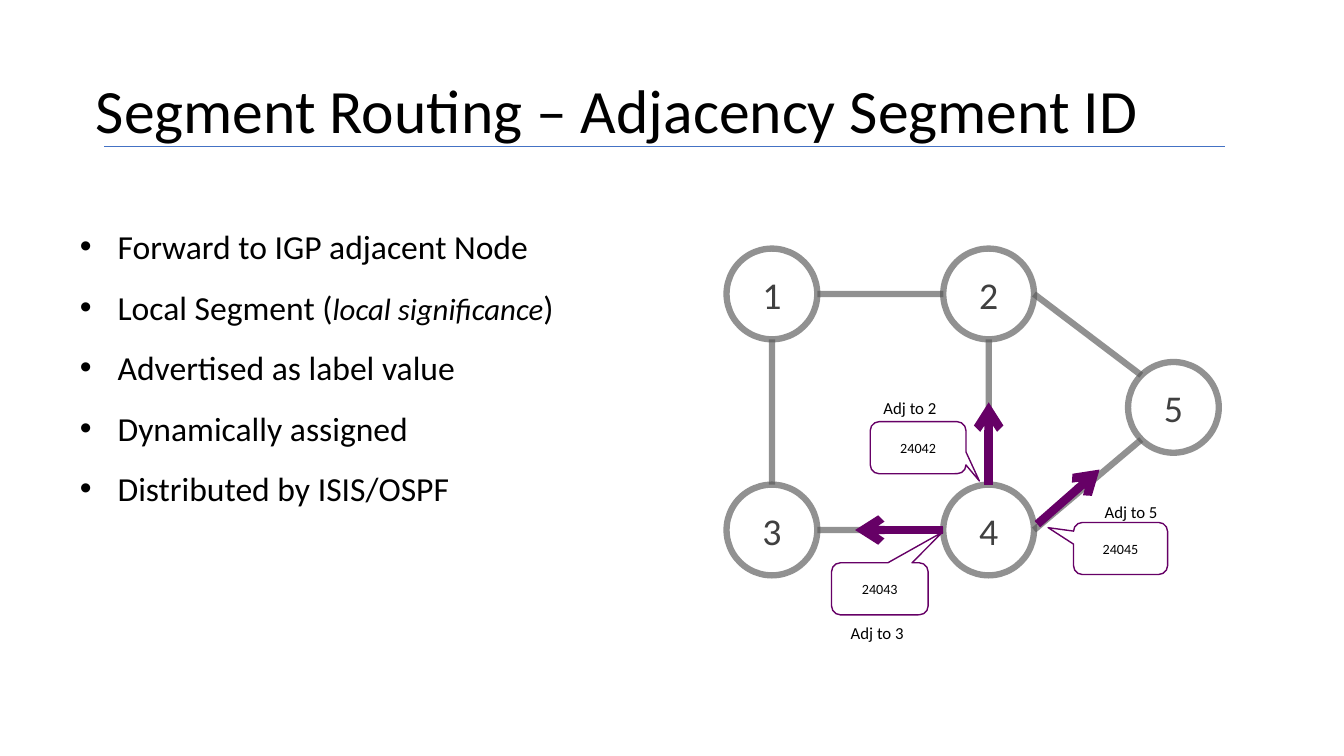
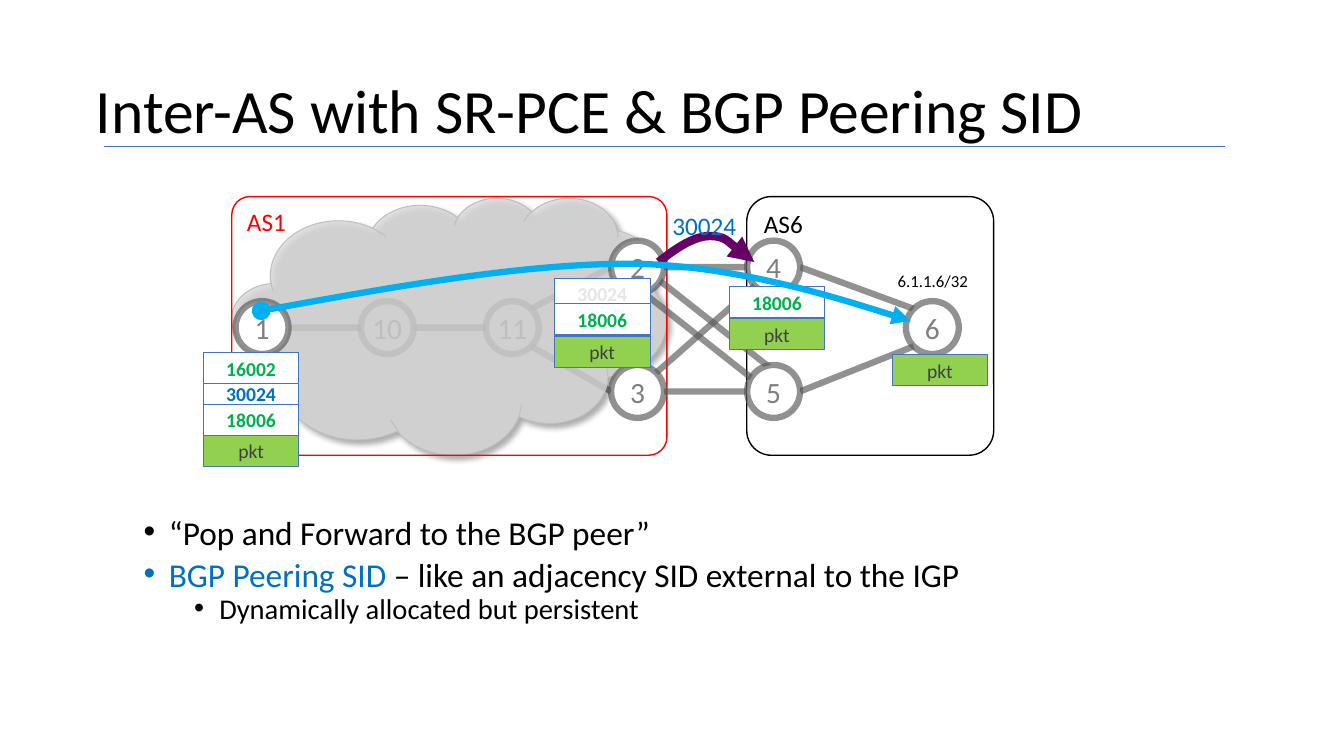
import lxml.etree
import pptx
import pptx.dml.color
import pptx.enum.shapes
import pptx.enum.text
import pptx.oxml.ns
import pptx.util

qn = pptx.oxml.ns.qn
SHAPE = pptx.enum.shapes.MSO_SHAPE
ANCHOR = pptx.enum.text.MSO_ANCHOR
ALIGN = pptx.enum.text.PP_ALIGN

COLOURS = {
    "black": "000000", "white": "FFFFFF", "blue rule": "4472C4",
    "link": "595959", "dark grey": "404040", "mid grey": "7F7F7F",
    "cloud": "D9D9D9", "cloud edge": "BFBFBF", "faded": "E7E6E6",
    "purple": "660066", "red": "FF0000", "blue": "0070C0",
    "sky": "00B0F0", "green": "00B050", "lime": "92D050",
}
SIDES = {
    "n": (0, -1), "ne": (0.71, -0.71), "e": (1, 0), "se": (0.71, 0.71),
    "s": (0, 1), "sw": (-0.71, 0.71), "w": (-1, 0), "nw": (-0.71, -0.71),
}


class Deck:
    """Draws styled elements on a grid of 160 columns by 90 rows."""

    font = "Calibri"

    def __init__(self):
        self.presentation = pptx.Presentation()
        self.presentation.slide_width = pptx.util.Emu(12192000)
        self.presentation.slide_height = pptx.util.Emu(6858000)
        self.unit = self.presentation.slide_width / 160
        self.slide = None
        self.nodes = {}

    def lengths(self, *values):
        return [pptx.util.Emu(round(value * self.unit)) for value in values]

    def colour(self, name):
        return pptx.dml.color.RGBColor.from_string(COLOURS[name])

    def new_slide(self, title):
        layout = self.presentation.slide_layouts[1]
        self.slide = self.presentation.slides.add_slide(layout)
        self.nodes = {}
        shape = self.slide.shapes.title
        self.place(shape, (10.2, 7.9, 130, 11.3))
        paragraph = self.set_text(shape, title, 44, anchor=ANCHOR.MIDDLE)
        paragraph.line_spacing = 0.9
        self.line((12.4, 17.4), (145.8, 17.4), "blue rule", 0.5)

    def place(self, shape, box):
        shape.left, shape.top, shape.width, shape.height = self.lengths(*box)

    def style_font(self, font, size, colour, bold=False):
        font.name, font.size, font.bold = self.font, pptx.util.Pt(size), bold
        font.color.rgb = self.colour(colour)

    def frame(self, shape, anchor, insets=(1.2, 0.6)):
        frame = shape.text_frame
        frame.auto_size = pptx.enum.text.MSO_AUTO_SIZE.NONE
        frame.word_wrap = True
        frame.vertical_anchor = anchor
        across, down = self.lengths(*insets)
        frame.margin_left = frame.margin_right = across
        frame.margin_top = frame.margin_bottom = down
        return frame

    def set_text(self, shape, text, size, colour="black", align=ALIGN.LEFT,
                 anchor=ANCHOR.TOP, bold=False, insets=(1.2, 0.6)):
        frame = self.frame(shape, anchor, insets)
        paragraph = frame.paragraphs[0]
        paragraph.text = text
        paragraph.alignment = align
        self.style_font(paragraph.font, size, colour, bold)
        return paragraph

    def bullets(self, box, items, spacing, insets=(1.2, 0.6)):
        body = self.slide.placeholders[1]
        self.place(body, box)
        frame = self.frame(body, ANCHOR.TOP, insets)
        for index, item in enumerate(items):
            paragraph = frame.paragraphs[0] if index == 0 else frame.add_paragraph()
            paragraph.level = item.get("level", 0)
            paragraph.line_spacing = spacing
            paragraph.space_before = pptx.util.Pt(item.get("before", 0))
            self.style_font(paragraph.font, item["size"], "black")
            hanging = item["hanging"]
            margin, indent = self.lengths(hanging + 6 * paragraph.level, -hanging)
            properties = paragraph._p.get_or_add_pPr()
            properties.set("marL", str(margin))
            properties.set("indent", str(indent))
            bullet = lxml.etree.Element(qn("a:buChar"), char="•")
            properties.find(qn("a:defRPr")).addprevious(bullet)
            for text, changes in item["runs"]:
                run = paragraph.add_run()
                run.text = text
                if "size" in changes:
                    run.font.size = pptx.util.Pt(changes["size"])
                    run.font.italic = True
                if "colour" in changes:
                    run.font.color.rgb = self.colour(changes["colour"])

    def fade(self, parent, percent):
        colour = parent.find(".//" + qn("a:srgbClr"))
        lxml.etree.SubElement(colour, qn("a:alpha"), val=str(percent * 1000))

    def outline(self, shape, colour, width, opacity=100, head=None, tail=None):
        shape.line.color.rgb = self.colour(colour)
        shape.line.width = pptx.util.Pt(width)
        line = shape.element.spPr.find(qn("a:ln"))
        if opacity < 100:
            self.fade(line, opacity)
        for tag, kind in (("a:headEnd", head), ("a:tailEnd", tail)):
            if kind:
                lxml.etree.SubElement(line, qn(tag), type=kind)

    def shape(self, kind, box, fill, colour, width, opacity=100, adjustments=()):
        shape = self.slide.shapes.add_shape(kind, *self.lengths(*box))
        shape.shadow.inherit = False
        for index, value in enumerate(adjustments):
            shape.adjustments[index] = value
        if fill:
            shape.fill.solid()
            shape.fill.fore_color.rgb = self.colour(fill)
        else:
            shape.fill.background()
        self.outline(shape, colour, width, opacity)
        return shape

    def line(self, start, end, colour, width, opacity=100, tail=None):
        connector = self.slide.shapes.add_connector(
            pptx.enum.shapes.MSO_CONNECTOR.STRAIGHT, *self.lengths(*start, *end))
        self.outline(connector, colour, width, opacity, tail=tail)
        lxml.etree.SubElement(connector.element.spPr, qn("a:effectLst"))

    def curve(self, points, colour, width, head=None):
        start, *others = [self.lengths(*point) for point in points]
        builder = self.slide.shapes.build_freeform(*start)
        builder.add_line_segments(others, close=False)
        shape = builder.convert_to_shape()
        shape.shadow.inherit = False
        shape.fill.background()
        self.outline(shape, colour, width, head=head, tail="triangle")
        outline = shape.element.spPr.find(".//" + qn("a:path"))
        segments = outline.findall(qn("a:lnTo"))
        for first in range(0, len(segments), 3):
            bezier = lxml.etree.SubElement(outline, qn("a:cubicBezTo"))
            for segment in segments[first:first + 3]:
                bezier.append(segment[0])
                outline.remove(segment)

    def set_nodes(self, centres, radius):
        self.nodes = {name: (*centre, radius) for name, centre in centres.items()}

    def node(self, name, size, colour, fill=None):
        x, y, radius = self.nodes[name]
        box = (x - radius, y - radius, 2 * radius, 2 * radius)
        shape = self.shape(SHAPE.OVAL, box, fill, "link", 4.5, 65)
        self.set_text(shape, name, size, colour, ALIGN.CENTER, ANCHOR.MIDDLE,
                      insets=(0, 0))

    def edge(self, name, side):
        x, y, radius = self.nodes[name]
        across, down = SIDES[side]
        return x + across * radius, y + down * radius

    def links(self, *ends):
        for first, first_side, second, second_side in ends:
            self.line(self.edge(first, first_side), self.edge(second, second_side),
                      "link", 4.5, 65)

    def callout(self, box, text, adjustments):
        shape = self.shape(SHAPE.ROUNDED_RECTANGULAR_CALLOUT, box, "white",
                           "purple", 1, adjustments=adjustments)
        self.set_text(shape, text, 10.1, align=ALIGN.CENTER, anchor=ANCHOR.MIDDLE)

    def caption(self, box, text, size, **style):
        shape = self.slide.shapes.add_textbox(*self.lengths(*box))
        self.set_text(shape, text, size, **style)

    def domain(self, box, text, fill, colour, rounding):
        shape = self.shape(SHAPE.ROUNDED_RECTANGLE, box, fill, colour, 1,
                           adjustments=(rounding,))
        self.set_text(shape, text, 18, colour)

    def cloud(self, box):
        shape = self.shape(SHAPE.CLOUD, box, "cloud", "cloud edge", 0.75)
        properties = shape.element.spPr
        self.fade(properties.find(qn("a:solidFill")), 80)
        shadow = lxml.etree.SubElement(
            properties.find(qn("a:effectLst")), qn("a:outerShdw"),
            blurRad="50800", dist="38100", dir="2700000", algn="tl", rotWithShape="0")
        lxml.etree.SubElement(shadow, qn("a:srgbClr"), val=COLOURS["black"])
        self.fade(shadow, 40)

    def label_stack(self, column, packet_row, *labels):
        for text, row, colour in (("pkt", packet_row, "dark grey"), *labels):
            packet = text == "pkt"
            shape = self.shape(SHAPE.RECTANGLE, (column, row, 11.4, 3.7),
                               "lime" if packet else "white", "blue rule", 0.75)
            self.set_text(shape, text, 14, colour, ALIGN.CENTER, bold=not packet,
                          insets=(1, 0.5))


def adjacency_slide(deck):
    deck.new_slide("Segment Routing – Adjacency Segment ID")
    texts = (
        [("Forward to IGP adjacent Node", {})],
        [("Local Segment (", {}), ("local significance", {"size": 22}), (")", {})],
        [("Advertised as label value", {})],
        [("Dynamically assigned", {})],
        [("Distributed by ISIS/OSPF", {})],
    )
    deck.bullets((8.3, 23.9, 71.8, 36.8),
                 [{"runs": runs, "size": 24, "hanging": 4.5} for runs in texts], 1.5)

    left, middle, top, bottom = 91.9, 117.7, 35, 63.1
    deck.set_nodes({"1": (left, top), "2": (middle, top), "3": (left, bottom),
                    "4": (middle, bottom), "5": (139.7, 48.5)}, 5.4)
    for name in deck.nodes:
        deck.node(name, 27, "dark grey")
    deck.links(("1", "e", "2", "w"), ("3", "e", "4", "w"), ("4", "n", "2", "s"),
               ("2", "e", "5", "nw"), ("4", "e", "5", "sw"), ("3", "n", "1", "s"))

    for start, end in ((deck.edge("4", "n"), (middle, 47.9)),
                       ((123.5, 62.4), (130.9, 55.9)),
                       (deck.edge("4", "w"), (101.8, bottom))):
        deck.line(start, end, "purple", 6, tail="arrow")
    for box, text, pointer in (
            ((103.6, 50.2, 11.4, 6.2), "24042", (0.64, 0.64)),
            ((127.8, 62.2, 11.2, 6.2), "24045", (-0.77, -0.4)),
            ((99, 67, 11.5, 6.2), "24043", (0.65, -1.09))):
        deck.callout(box, text, (*pointer, 0.17))
    for column, row, text, align in ((128, 58.6, "Adj to 5", ALIGN.RIGHT),
                                     (104, 46.2, "Adj to 2", ALIGN.LEFT),
                                     (100.1, 73, "Adj to 3", ALIGN.LEFT)):
        deck.caption((column, row, 11, 4.1), text, 12, align=align,
                     anchor=ANCHOR.BOTTOM)


def peering_slide(deck):
    deck.new_slide("Inter-AS with SR-PCE & BGP Peering SID")
    deck.bullets((16.1, 61.8, 111.2, 13.3), [
        {"runs": [("“Pop and Forward to the BGP peer”", {})],
         "size": 23.8, "hanging": 3, "before": 10},
        {"runs": [("BGP Peering SID ", {"colour": "blue"}),
                  ("– like an adjacency SID external to the IGP", {})],
         "size": 23.8, "hanging": 3, "before": 10},
        {"runs": [("Dynamically allocated but persistent", {})],
         "size": 20.4, "hanging": 3, "before": 5, "level": 1},
    ], 0.7, (1, 0.5))

    upper, centre, lower = 31.8, 39, 46.6
    deck.set_nodes({"1": (31.2, centre), "10": (46.1, centre), "11": (61, centre),
                    "2": (75.9, upper), "3": (75.9, lower), "4": (92.1, upper),
                    "5": (92.1, lower), "6": (111, centre)}, 3.15)

    def draw_nodes(*names):
        for name in names:
            deck.node(name, 21, "mid grey", "white")

    deck.links(("1", "e", "10", "w"), ("11", "ne", "2", "w"), ("11", "se", "3", "w"))
    draw_nodes("10", "11")
    deck.links(("11", "w", "10", "e"))
    deck.cloud((27.6, 23.5, 51.7, 30.6))
    draw_nodes("1")
    deck.domain((27.6, 23.4, 51.8, 30.8), "AS1", None, "red", 0.07)
    deck.domain((88.9, 23.4, 29.4, 30.8), "AS6", "white", "black", 0.1)
    deck.links(("6", "nw", "4", "e"))
    draw_nodes("6")
    deck.links(("6", "sw", "5", "e"))
    deck.caption((103.8, 31.7, 14.5, 3.6), "6.1.1.6/32", 12, align=ALIGN.CENTER)
    draw_nodes("3", "4")
    deck.links(("4", "w", "2", "e"), ("5", "w", "3", "e"), ("5", "e", "2", "nw"),
               ("3", "ne", "4", "sw"), ("5", "se", "2", "w"))
    draw_nodes("2", "5")

    deck.curve([(78.4, 31.2), (80.4, 29.6), (82.6, 28.1), (84.5, 28.1),
                (86.4, 28.1), (89.8, 31.2), (89.8, 31.2)], "purple", 6)
    deck.caption((78.1, 24.4, 11.5, 4.8), "30024", 18, colour="blue",
                 align=ALIGN.CENTER)
    deck.label_stack(24.2, 51.8, ("30024", 45, "blue"), ("18006", 48.1, "green"),
                     ("16002", 42, "green"))
    deck.label_stack(66, 40, ("30024", 33.1, "faded"), ("18006", 36.1, "green"))
    deck.label_stack(86.8, 37.9, ("18006", 34.1, "green"))
    deck.label_stack(106.2, 42.2)
    deck.curve([(31.1, 37), (47, 34.1), (62.9, 31.3), (75.7, 31.4),
                (88.6, 31.7), (108.4, 38.2), (108.4, 38.2)], "sky", 4.5, "oval")


def main():
    deck = Deck()
    adjacency_slide(deck)
    peering_slide(deck)
    deck.presentation.save("out.pptx")


if __name__ == "__main__":
    main()
